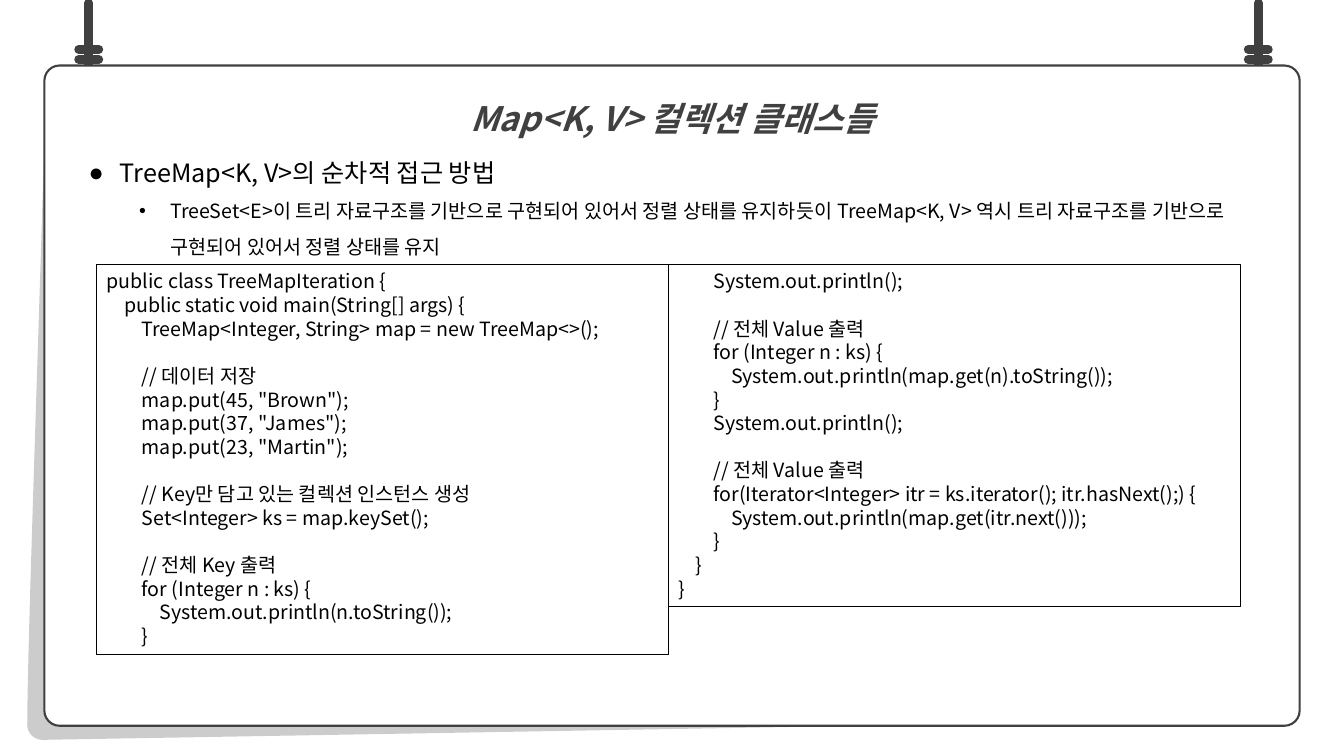
from lxml import etree
from pptx import Presentation
from pptx.dml.color import RGBColor
from pptx.enum.shapes import MSO_CONNECTOR, MSO_SHAPE
from pptx.enum.text import MSO_ANCHOR, MSO_AUTO_SIZE, PP_ALIGN
from pptx.oxml.ns import qn
from pptx.util import Inches, Pt

STRAIGHT = MSO_CONNECTOR.STRAIGHT
RECTANGLE, ROUNDED = MSO_SHAPE.RECTANGLE, MSO_SHAPE.ROUNDED_RECTANGLE
TOP = MSO_ANCHOR.TOP
NO_AUTOFIT = MSO_AUTO_SIZE.NONE
LEFT, CENTER = PP_ALIGN.LEFT, PP_ALIGN.CENTER
FONT = "Noto Sans CJK KR"
BLACK, WHITE, GRAY = "000000", "FFFFFF", "404040"

TITLE = "Map<K, V> 컬렉션 클래스들"
BULLETS = [
    ("TreeMap<K, V>의 순차적 접근 방법", 0, "●", 0.31, 18, 32.4),
    ("TreeSet<E>이 트리 자료구조를 기반으로 구현되어 있어서 정렬 상태를 유지하듯이 "
     "TreeMap<K, V> 역시 트리 자료구조를 기반으로 구현되어 있어서 정렬 상태를 유지",
     1, "•", 0.81, 14, 25.2),
]
SETUP_CODE = """public class TreeMapIteration {
    public static void main(String[] args) {
        TreeMap<Integer, String> map = new TreeMap<>();

        // 데이터 저장
        map.put(45, "Brown");
        map.put(37, "James");
        map.put(23, "Martin");

        // Key만 담고 있는 컬렉션 인스턴스 생성
        Set<Integer> ks = map.keySet();

        // 전체 Key 출력
        for (Integer n : ks) {
            System.out.println(n.toString());
        }"""
OUTPUT_CODE = """        System.out.println();

        // 전체 Value 출력
        for (Integer n : ks) {
            System.out.println(map.get(n).toString());
        }
        System.out.println();

        // 전체 Value 출력
        for(Iterator<Integer> itr = ks.iterator(); itr.hasNext();) {
            System.out.println(map.get(itr.next()));
        }
    }
}"""


def rgb(color):
    """Turn a hex string into a colour."""
    return RGBColor.from_string(color)


def format_paragraph(paragraph, size, color, spacing, alignment=LEFT, strong=False):
    """Set the spacing, alignment and run fonts of one paragraph."""
    paragraph.alignment = alignment
    paragraph.line_spacing = Pt(spacing)
    paragraph.space_before = paragraph.space_after = Pt(0)
    for run in paragraph.runs:
        run.font.size = Pt(size)
        run.font.bold = run.font.italic = strong
        run.font.color.rgb = rgb(color)
        run.font.name = FONT
        etree.SubElement(run.font._element, qn("a:ea"), typeface=FONT)


def place_placeholder(shape, left, top, width, height):
    """Move a placeholder to its box, in front of everything drawn so far."""
    shape.left, shape.top = Inches(left), Inches(top)
    shape.width, shape.height = Inches(width), Inches(height)
    shape.element.getparent().append(shape.element)
    frame = shape.text_frame
    frame.auto_size = NO_AUTOFIT
    frame.word_wrap = True
    frame.vertical_anchor = TOP
    return frame


def add_paper_shadow(slide, left, top, width, height):
    """Draw the translucent sheet that peeks out behind the card."""
    def curve(points, steps=12):
        """Sample a cubic curve given in fractions of the box."""
        for step in range(1, steps + 1):
            t = step / steps
            weights = ((1 - t) ** 3, 3 * t * (1 - t) ** 2, 3 * t * t * (1 - t), t ** 3)
            yield tuple(Inches(start + size * sum(w * p[axis] for w, p in zip(weights, points)))
                        for axis, start, size in ((0, left, width), (1, top, height)))

    side = curve([(0.014, 0), (0.013, 0.14), (0, 0.84), (0, 0.976)])
    corner = curve([(0, 0.976), (0, 0.99), (0.006, 1), (0.012, 1)])
    right = (Inches(left + width), Inches(top + 0.966 * height))
    inner = (Inches(left + 0.164 * width), Inches(top + 0.56 * height))
    builder = slide.shapes.build_freeform(Inches(left + 0.014 * width), Inches(top))
    builder.add_line_segments([*side, *corner, right, inner], close=True)
    sheet = builder.convert_to_shape()
    sheet.shadow.inherit = False
    sheet.fill.solid()
    sheet.fill.fore_color.rgb = rgb(BLACK)
    sheet.line.fill.background()
    color = sheet.element.spPr.find(".//" + qn("a:srgbClr"))
    etree.SubElement(color, qn("a:alpha"), val="20000")


def add_hanger(slide, left, top, width, height):
    """Draw a rod with two rings around it."""
    middle = left + width / 2
    strokes = [(middle, top + height, middle, top)]
    strokes += [(left + width, top + drop, left, top + drop) for drop in (0.46, 0.56)]
    for stroke in strokes:
        line = slide.shapes.add_connector(STRAIGHT, *map(Inches, stroke))
        line.line.color.rgb = rgb(GRAY)
        line.line.width = Pt(6.25)
        line.line._get_or_add_ln().set("cap", "rnd")
        etree.SubElement(line._element.spPr, qn("a:effectLst"))


def add_card(slide, left, top, width, height):
    """Draw the white rounded card."""
    card = slide.shapes.add_shape(ROUNDED, *map(Inches, (left, top, width, height)))
    card.adjustments[0] = 0.023
    card.shadow.inherit = False
    card.fill.solid()
    card.fill.fore_color.rgb = rgb(WHITE)
    card.line.color.rgb = rgb(GRAY)
    card.line.width = Pt(1.5)


def fill_title(slide, left, top, width, height):
    """Write the slide title."""
    frame = place_placeholder(slide.shapes.title, left, top, width, height)
    frame.text = TITLE
    format_paragraph(frame.paragraphs[0], 24, GRAY, 43.2, CENTER, True)


def fill_bullets(slide, left, top, width, height):
    """Write the two-level bullet list."""
    frame = place_placeholder(slide.placeholders[1], left, top, width, height)
    frame.margin_left = frame.margin_right = frame.margin_top = frame.margin_bottom = 0
    frame.text = "\n".join(bullet[0] for bullet in BULLETS)
    for paragraph, (_, level, mark, indent, size, spacing) in zip(frame.paragraphs, BULLETS):
        paragraph.level = level
        format_paragraph(paragraph, size, BLACK, spacing)
        properties = paragraph._p.get_or_add_pPr()
        properties.set("marL", str(Inches(indent)))
        properties.set("indent", str(Inches(-0.31)))
        etree.SubElement(properties, qn("a:buChar"), char=mark)


def add_code(slide, code, left, top, width, height):
    """Draw an outlined box of source code."""
    box = slide.shapes.add_shape(RECTANGLE, *map(Inches, (left, top, width, height)))
    box.shadow.inherit = False
    box.fill.background()
    box.line.color.rgb = rgb(BLACK)
    box.line.width = Pt(0.75)
    frame = box.text_frame
    frame.word_wrap = True
    frame.vertical_anchor = TOP
    frame.text = code
    for paragraph in frame.paragraphs:
        format_paragraph(paragraph, 14, BLACK, 16.9)


def build_slide(presentation):
    """Compose the slide from its regions."""
    slide = presentation.slides.add_slide(presentation.slide_layouts[1])
    add_paper_shadow(slide, 0.27, 1.1, 12.48, 6.24)
    for left in (0.78, 12.38):
        add_hanger(slide, left, 0.03, 0.2, 0.79)
    add_card(slide, 0.44, 0.65, 12.45, 6.55)
    fill_title(slide, 3.33, 0.72, 6.67, 0.63)
    fill_bullets(slide, 0.88, 1.41, 11.97, 1.2)
    code_width = 5.67
    for column, (code, height) in enumerate([(SETUP_CODE, 3.87), (OUTPUT_CODE, 3.4)]):
        add_code(slide, code, 0.96 + column * code_width, 2.62, code_width, height)


def main():
    """Create and save the presentation."""
    presentation = Presentation()
    presentation.slide_width, presentation.slide_height = Inches(13.33), Inches(7.5)
    build_slide(presentation)
    presentation.save("out.pptx")


if __name__ == "__main__":
    main()
